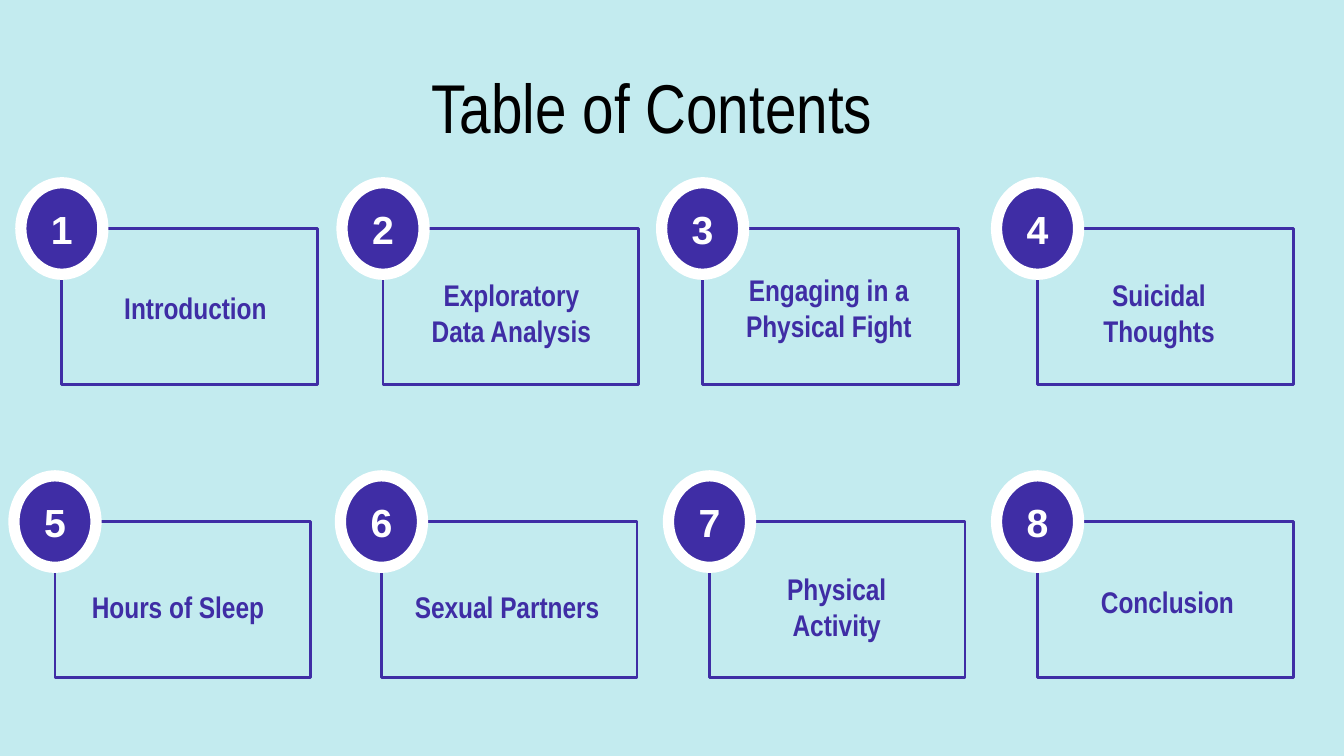
from pptx import Presentation
from pptx.dml.color import RGBColor
from pptx.enum.shapes import MSO_SHAPE
from pptx.enum.text import MSO_ANCHOR, PP_ALIGN
from pptx.util import Cm, Pt

COLORS = {"bg": "C3EBEF", "accent": "3F2DA5", "white": "FFFFFF", "title": "000000"}
TITLE = "Table of Contents"
# Each row: card top, then (text, card left, label left, label top)
ROWS = [
    (4.32, [
        ("Introduction", 1.17, 1.7, 5.49),
        ("Exploratory Data Analysis", 7.24, 7.67, 5.59),
        ("Engaging in a Physical Fight", 13.28, 13.67, 5.49),
        ("Suicidal Thoughts", 19.61, 19.91, 5.59),
    ]),
    (9.86, [
        ("Hours of Sleep", 1.04, 1.37, 11.15),
        ("Sexual Partners", 7.21, 7.59, 11.15),
        ("Physical Activity", 13.41, 13.82, 11.15),
        ("Conclusion", 19.61, 20.07, 11.05),
    ]),
]
CARD_W, CARD_H = 4.83, 2.95
BADGE_W, BADGE_H = 1.55, 1.73
LABEL_W, LABEL_H = 3.99, 0.64


def rgb(name):
    return RGBColor.from_string(COLORS[name])


def write(sp, text, size, font, color, bold=True):
    tf = sp.text_frame
    tf.word_wrap = True
    tf.vertical_anchor = MSO_ANCHOR.MIDDLE
    tf.margin_left = tf.margin_right = tf.margin_top = tf.margin_bottom = Cm(0.25)
    p = tf.paragraphs[0]
    p.text = text
    p.alignment = PP_ALIGN.CENTER
    p.font.size = Pt(size)
    p.font.name = font
    p.font.bold = bold
    p.font.color.rgb = rgb(color)


def add_text(shapes, box, *style):
    write(shapes.add_textbox(*map(Cm, box)), *style)


def add_outlined(shapes, kind, box, line, width):
    sp = shapes.add_shape(kind, *map(Cm, box))
    sp.shadow.inherit = False
    sp.line.color.rgb = rgb(line)
    sp.line.width = Pt(width)
    return sp


def add_card(shapes, number, left, top):
    group = shapes.add_group_shape().shapes
    frame = add_outlined(group, MSO_SHAPE.RECTANGLE, (left, top, CARD_W, CARD_H), "accent", 1.5)
    frame.fill.background()
    corner = (left - BADGE_W / 2, top - BADGE_H / 2, BADGE_W, BADGE_H)
    badge = add_outlined(group, MSO_SHAPE.OVAL, corner, "white", 6)
    badge.fill.solid()
    badge.fill.fore_color.rgb = rgb("accent")
    write(badge, str(number), 21, "Arial", "white")


prs = Presentation()
prs.slide_width, prs.slide_height = Cm(25.4), Cm(14.29)
s = prs.slides.add_slide(prs.slide_layouts[6])
s.background.fill.solid()
s.background.fill.fore_color.rgb = rgb("bg")

add_text(s.shapes, (0.89, 1.55, 22.86, 0.91), TITLE, 37, "Arial Narrow", "title", False)
number = 0
for top, cards in ROWS:
    for text, left, label_left, label_top in cards:
        number += 1
        add_card(s.shapes, number, left, top)
        add_text(s.shapes, (label_left, label_top, LABEL_W, LABEL_H),
                 text, 16, "Arial Narrow", "accent")

prs.save("out.pptx")
